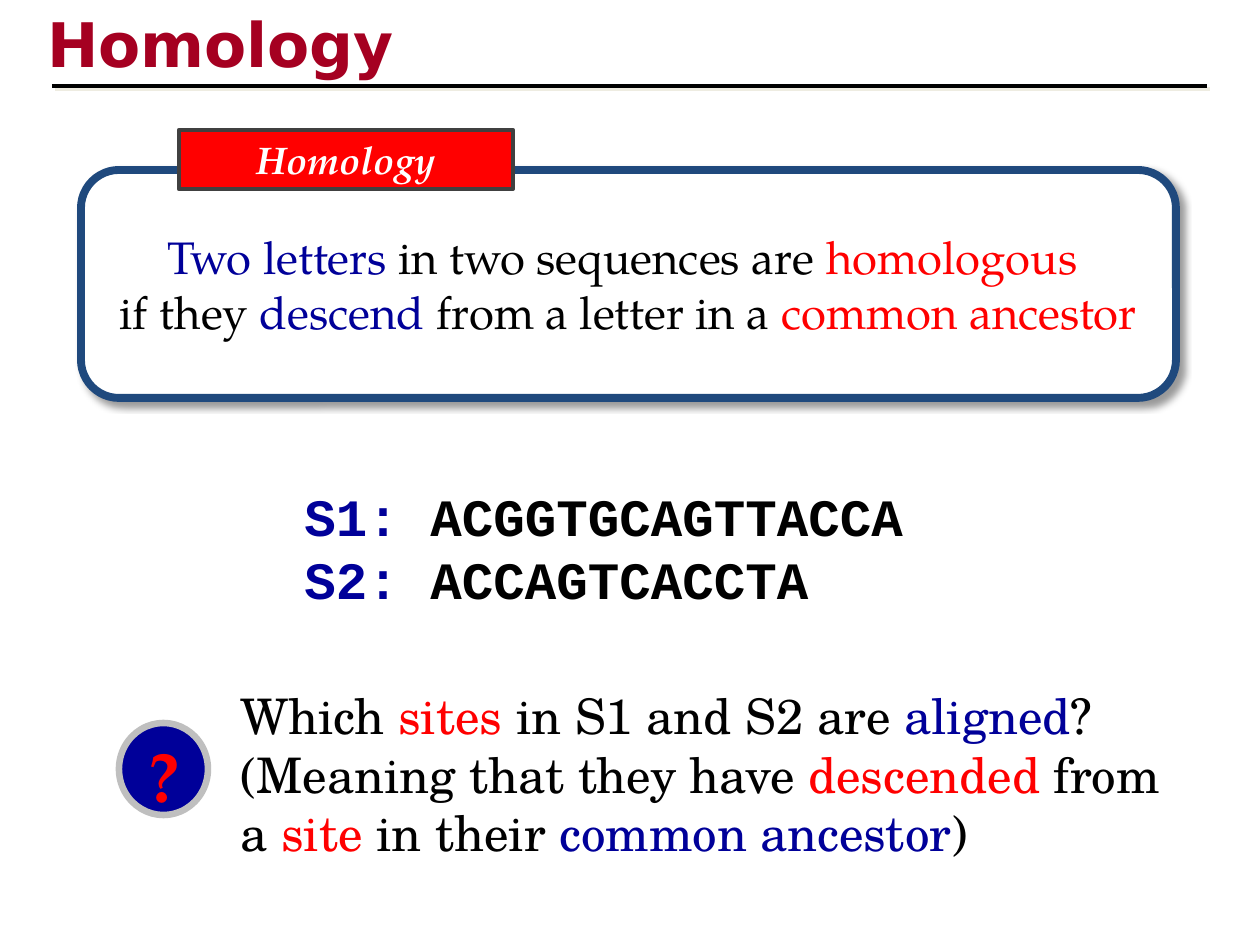
from lxml.etree import SubElement
from pptx import Presentation
from pptx.dml.color import RGBColor
from pptx.enum.shapes import MSO_CONNECTOR as CONNECTOR, MSO_SHAPE as SHAPE
from pptx.enum.text import MSO_ANCHOR as ANCHOR, PP_ALIGN as ALIGN
from pptx.oxml.ns import qn
from pptx.util import Emu, Pt

PX = 914400 / 126

BLACK = RGBColor(0x00, 0x00, 0x00)
WHITE = RGBColor(0xFF, 0xFF, 0xFF)
RED = RGBColor(0xFF, 0x00, 0x00)
BLUE = RGBColor(0x00, 0x00, 0x99)
CRIMSON = RGBColor(0xA5, 0x00, 0x21)
NAVY = RGBColor(0x1F, 0x49, 0x7D)
DARK_GRAY = RGBColor(0x40, 0x40, 0x40)
LIGHT_GRAY = RGBColor(0xBF, 0xBF, 0xBF)
CREAM = RGBColor(0xEE, 0xEC, 0xE1)

SERIF = "TeX Gyre Pagella"
SCHOOLBOOK = "TeX Gyre Schola"
MONO = "Courier New"
SANS = "DejaVu Sans"


def px(*lengths):
    return [Emu(round(length * PX)) for length in lengths]


def add_shadow(properties, color, opacity, blur, distance):
    """Add a shadow that falls to the lower right; blur and distance in points."""
    effects = SubElement(properties, qn("a:effectLst"))
    shadow = SubElement(effects, qn("a:outerShdw"), blurRad=str(Pt(blur)),
                        dist=str(Pt(distance)), dir="2700000", algn="ctr", rotWithShape="0")
    tint = SubElement(shadow, qn("a:srgbClr"), val=str(color))
    SubElement(tint, qn("a:alpha"), val=str(opacity * 1000))
    return effects


def write(frame, lines, font, size, bold=False, italic=False, align=ALIGN.LEFT):
    """Fill a frame with lines, each a list of (text, color) parts."""
    for index, parts in enumerate(lines):
        paragraph = frame.add_paragraph() if index else frame.paragraphs[0]
        paragraph.alignment = align
        for text, color in parts:
            run = paragraph.add_run()
            run.text = text
            run.font.name, run.font.size = font, Pt(size)
            run.font.bold, run.font.italic = bold, italic
            run.font.color.rgb = color


def add_text(shapes, box, lines, font, size, wrap=True, anchor=ANCHOR.TOP, **style):
    frame = shapes.add_textbox(*px(*box)).text_frame
    frame.word_wrap = wrap
    frame.vertical_anchor = anchor
    write(frame, lines, font, size, **style)
    return frame


def add_panel(shapes, kind, box, fill, line, width):
    panel = shapes.add_shape(kind, *px(*box))
    panel.shadow.inherit = False
    panel.fill.solid()
    panel.fill.fore_color.rgb = fill
    panel.line.color.rgb = line
    panel.line.width = Pt(width)
    panel.text_frame.vertical_anchor = ANCHOR.MIDDLE
    return panel


def add_heading(shapes):
    frame = add_text(shapes, (35, 1, 1071, 85), [[("Homology", CRIMSON)]], SANS, 35.1,
                     bold=True, anchor=ANCHOR.BOTTOM)
    # Run effects belong directly after the fill
    properties = frame.paragraphs[0].runs[0].font._element
    effects = add_shadow(properties, CREAM, 100, 0, 2.8)
    properties.find(qn("a:solidFill")).addnext(effects)

    rule = shapes.add_connector(CONNECTOR.STRAIGHT, *px(52, 86, 1207, 86))
    rule.line.color.rgb = BLACK
    rule.line.width = Pt(2.25)
    add_shadow(rule._element.spPr, CREAM, 100, 0, 2.8)


def add_definition(shapes):
    panel = add_panel(shapes, SHAPE.ROUNDED_RECTANGLE, (81, 170, 1095, 228), WHITE, NAVY, 4.5)
    properties = panel._element.spPr
    properties.remove(properties.find(qn("a:effectLst")))
    add_shadow(properties, BLACK, 40, 4, 4)
    panel.text_frame.word_wrap = False
    write(panel.text_frame, [
        [("Two letters ", BLUE), ("in two sequences are ", BLACK), ("homologous ", RED)],
        [("if they ", BLACK), ("descend", BLUE), (" from a letter in a ", BLACK),
         ("common ancestor", RED)],
    ], SERIF, 26, align=ALIGN.CENTER)

    label = add_panel(shapes, SHAPE.RECTANGLE, (179, 130, 334, 59), RED, DARK_GRAY, 2.5)
    write(label.text_frame, [[("Homology", WHITE)]], SERIF, 22,
          bold=True, italic=True, align=ALIGN.CENTER)


def add_sequences(shapes):
    sequences = {"S1": "ACGGTGCAGTTACCA", "S2": "ACCAGTCACCTA"}
    lines = [[(f"{name}: ", BLUE), (letters, BLACK)] for name, letters in sequences.items()]
    add_text(shapes, (292, 478, 740, 140), lines, MONO, 30, bold=True)


def add_question(shapes):
    add_text(shapes, (228, 679, 983, 190), [[
        ("Which ", BLACK), ("sites", RED), (" in S1 and S2 are ", BLACK), ("aligned", BLUE),
        ("? (Meaning that they have ", BLACK), ("descended", RED), (" from a ", BLACK),
        ("site", RED), (" in their ", BLACK), ("common ancestor", BLUE), (")", BLACK),
    ]], SCHOOLBOOK, 28)

    # Question mark badge
    badge = shapes.add_group_shape().shapes
    add_panel(badge, SHAPE.OVAL, (119, 723, 89, 92), BLUE, LIGHT_GRAY, 3.75)
    add_text(badge, (136, 726, 60, 97), [[("?", RED)]], SERIF, 40, wrap=False, bold=True)


def main():
    deck = Presentation()
    deck.slide_width, deck.slide_height = px(1260, 945)
    shapes = deck.slides.add_slide(deck.slide_layouts[6]).shapes
    add_heading(shapes)
    add_definition(shapes)
    add_sequences(shapes)
    add_question(shapes)
    deck.save("out.pptx")


if __name__ == "__main__":
    main()
